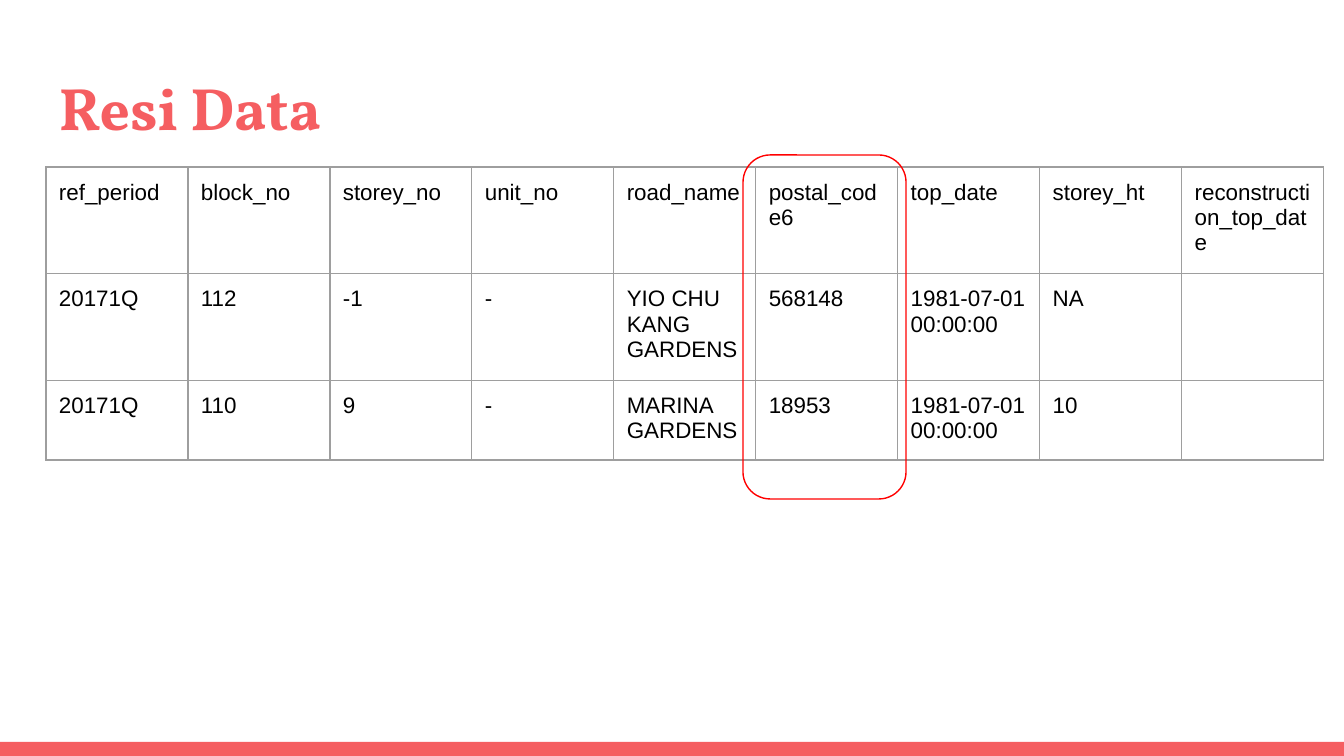
"""Build the Resi Data slide: a property table with its postal code column ringed."""
from dataclasses import dataclass

import lxml.etree
import pptx
import pptx.dml.color
import pptx.enum.shapes
import pptx.enum.text
import pptx.oxml.ns
import pptx.util

EMU_PER_PX = 914400 / 134.4
CORAL = "F55E61"
GREY = "9E9E9E"
RED = "FF0000"
INSET = 13
COLUMN_WIDTH = 142
ROW_HEIGHT = 56

RECORDS = [
    ["ref_period", "block_no", "storey_no", "unit_no", "road_name",
     "postal_code6", "top_date", "storey_ht", "reconstruction_top_date"],
    ["20171Q", "112", "-1", "-", "YIO CHU KANG GARDENS",
     "568148", "1981-07-01 00:00:00", "NA", ""],
    ["20171Q", "110", "9", "-", "MARINA GARDENS",
     "18953", "1981-07-01 00:00:00", "10", ""],
]


@dataclass(frozen=True)
class Box:
    left: int
    top: int
    width: int
    height: int

    def emu(self) -> tuple:
        return px(self.left), px(self.top), px(self.width), px(self.height)


@dataclass(frozen=True)
class Panel:
    box: Box
    preset: pptx.enum.shapes.MSO_SHAPE
    fill: str = ""
    line: str = ""


FOOTER_BAND = Panel(Box(0, 742, 1344, 14), pptx.enum.shapes.MSO_SHAPE.RECTANGLE, fill=CORAL)
POSTAL_RING = Panel(Box(743, 155, 163, 344), pptx.enum.shapes.MSO_SHAPE.ROUNDED_RECTANGLE, line=RED)


def px(length: int) -> int:
    return pptx.util.Emu(round(length * EMU_PER_PX))


def colour(hex_code: str) -> pptx.dml.color.RGBColor:
    return pptx.dml.color.RGBColor.from_string(hex_code)


def write(frame, text: str, *, size: int = 12, font: str = "Arial",
          ink: str = "000000", bold: bool = False) -> None:
    frame.word_wrap = True
    paragraph = frame.paragraphs[0]
    if text:
        paragraph.add_run().text = text
    for style in [paragraph.font, *(run.font for run in paragraph.runs)]:
        style.size = pptx.util.Pt(size)
        style.name = font
        style.bold = bold
        style.color.rgb = colour(ink)


def draw_panel(slide, panel: Panel) -> None:
    shape = slide.shapes.add_shape(panel.preset, *panel.box.emu())
    shape.shadow.inherit = False
    if panel.fill:
        shape.fill.solid()
        shape.fill.fore_color.rgb = colour(panel.fill)
    else:
        shape.fill.background()
    if panel.line:
        shape.line.color.rgb = colour(panel.line)
        shape.line.width = pptx.util.Pt(0.75)
    else:
        shape.line.fill.background()


def draw_title(slide, text: str, box: Box) -> None:
    frame = slide.shapes.add_textbox(*box.emu()).text_frame
    frame.margin_left = frame.margin_right = px(INSET)
    frame.margin_top = frame.margin_bottom = px(INSET)
    frame.vertical_anchor = pptx.enum.text.MSO_ANCHOR.TOP
    write(frame, text, size=32, font="Vollkorn", ink=CORAL, bold=True)


def border_cell(cell, hex_code: str) -> None:
    qn = pptx.oxml.ns.qn
    properties = cell._tc.get_or_add_tcPr()
    for position, side in enumerate(("a:lnL", "a:lnR", "a:lnT", "a:lnB")):
        edge = lxml.etree.Element(qn(side), w=str(pptx.util.Pt(0.75)))
        fill = lxml.etree.SubElement(edge, qn("a:solidFill"))
        lxml.etree.SubElement(fill, qn("a:srgbClr"), val=hex_code)
        properties.insert(position, edge)


def draw_table(slide, records: list[list[str]], left: int, top: int) -> None:
    rows, columns = len(records), len(records[0])
    box = Box(left, top, columns * COLUMN_WIDTH, rows * ROW_HEIGHT)
    table = slide.shapes.add_table(rows, columns, *box.emu()).table
    table.first_row = False
    table.horz_banding = False
    for column in table.columns:
        column.width = px(COLUMN_WIDTH)
    for row, record in zip(table.rows, records):
        row.height = px(ROW_HEIGHT)
        for cell, value in zip(row.cells, record):
            cell.margin_left = cell.margin_right = px(INSET)
            cell.margin_top = cell.margin_bottom = px(INSET)
            cell.fill.background()
            border_cell(cell, GREY)
            write(cell.text_frame, value)


def main() -> None:
    deck = pptx.Presentation()
    deck.slide_width, deck.slide_height = px(1344), px(756)
    slide = deck.slides.add_slide(deck.slide_layouts[6])
    draw_panel(slide, FOOTER_BAND)
    draw_title(slide, "Resi Data", Box(46, 58, 1253, 91))
    draw_table(slide, RECORDS, 46, 167)
    draw_panel(slide, POSTAL_RING)
    deck.save("out.pptx")


if __name__ == "__main__":
    main()
